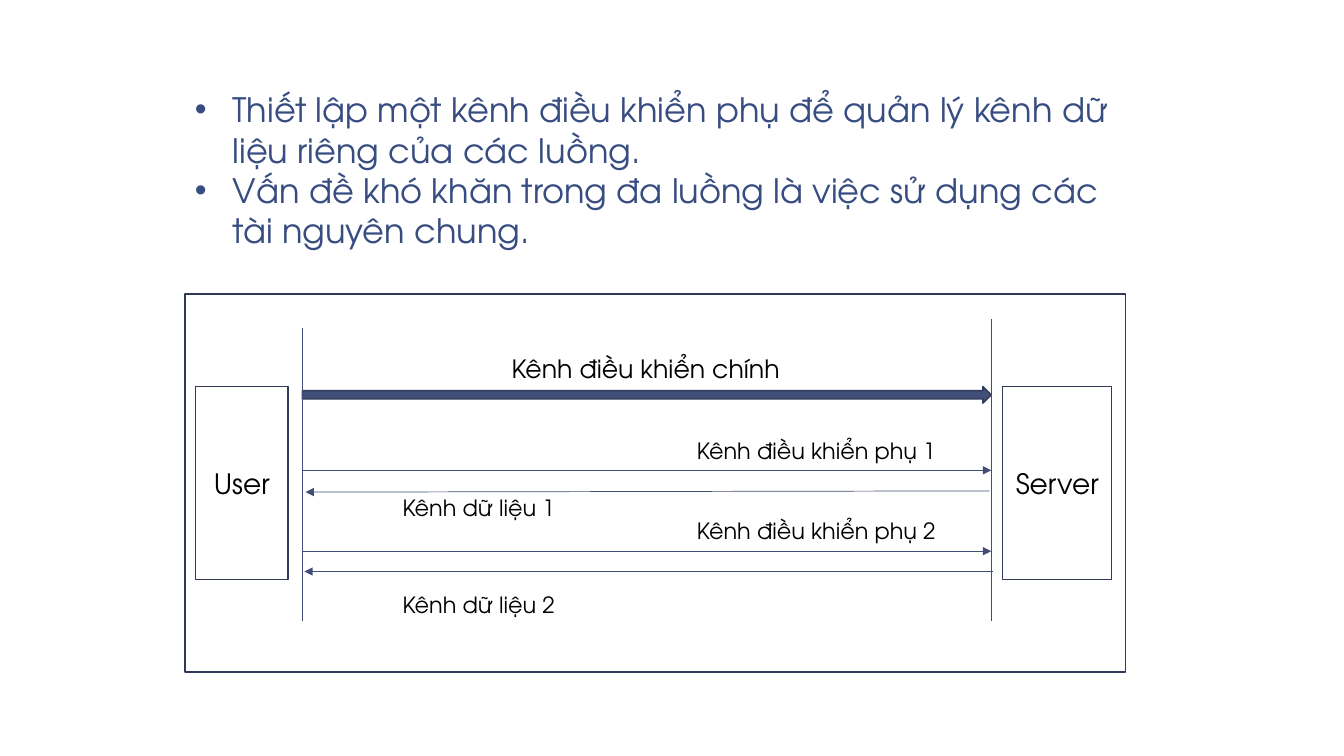
from lxml.etree import SubElement
from pptx import Presentation
from pptx.dml.color import RGBColor
from pptx.enum.shapes import MSO_CONNECTOR, MSO_SHAPE
from pptx.enum.text import MSO_ANCHOR, MSO_AUTO_SIZE, PP_ALIGN
from pptx.oxml.ns import qn
from pptx.util import Cm, Pt

FONT = "TeX Gyre Adventor"
NAVY, SLATE, BLUE = "303A58", "414E77", "374C81"
BLACK, WHITE = "000000", "FFFFFF"

# Content (lengths in cm)
POINTS = [
    "Thiết lập một kênh điều khiển phụ để quản lý kênh dữ liệu riêng của các luồng.",
    "Vấn đề khó khăn trong đa luồng là việc sử dụng các tài nguyên chung.",
]
LEFT, WIDTH = 4.66, 23.7
USER_RAIL, SERVER_RAIL, RAIL_END = 7.62, 24.98, 15.66
RAILS = [(USER_RAIL, 8.26), (SERVER_RAIL, 8.05)]  # x, top
BOX_TOP, BOX_HEIGHT = 9.74, 4.87
ENDPOINTS = [("User", 4.93, 2.33), ("Server", 25.27, 2.75)]  # name, left, width
MAIN_LABEL = ("Kênh điều khiển chính", 10.24, 8.79, 12.07)
CHANNEL_WIDTH = 8.89
CONTROL_LEFT = 16.13
# control label top, control arrow y, data arrow (from, to), data label top
CHANNELS = [
    (10.9, 11.85, (24.94, 12.37), (7.7, 12.4), 12.32),
    (12.9, 13.89, (25.02, 14.4), (7.67, 14.4), 14.76),
]


def color(value):
    return RGBColor.from_string(value)


def write(frame, lines, size=16, ink=BLACK, align=PP_ALIGN.CENTER, anchor=MSO_ANCHOR.TOP):
    frame.word_wrap = True
    frame.auto_size = MSO_AUTO_SIZE.NONE
    frame.vertical_anchor = anchor
    for index, line in enumerate(lines):
        para = frame.paragraphs[0] if index == 0 else frame.add_paragraph()
        para.alignment = align
        para.space_before = Pt(0)
        span = para.add_run()
        span.text = line
        span.font.name = FONT
        span.font.size = Pt(size)
        span.font.color.rgb = color(ink)


def add_label(text, left, top, width, size=16):
    box = page.shapes.add_textbox(Cm(left), Cm(top), Cm(width), Cm(1))
    write(box.text_frame, [text], size=size)


def add_block(preset, left, top, width, height, fill=None):
    block = page.shapes.add_shape(preset, Cm(left), Cm(top), Cm(width), Cm(height))
    block.shadow.inherit = False
    if fill:
        block.fill.solid()
        block.fill.fore_color.rgb = color(fill)
    else:
        block.fill.background()
    block.line.color.rgb = color(NAVY)
    block.line.width = Pt(1)
    return block


def add_line(start, end, arrow=False):
    line = page.shapes.add_connector(
        MSO_CONNECTOR.STRAIGHT, *[Cm(value) for value in (*start, *end)])
    line.line.color.rgb = color(SLATE)
    line.line.width = Pt(0.5)
    if arrow:
        SubElement(line.line._get_or_add_ln(), qn("a:tailEnd"), type="triangle")
    SubElement(line._element.spPr, qn("a:effectLst"))


deck = Presentation()
deck.slide_width, deck.slide_height = Cm(33.87), Cm(19.05)
page = deck.slides.add_slide(deck.slide_layouts[1])
title, body = page.placeholders
title._element.getparent().remove(title._element)

# Bullet list
body.left, body.top, body.width, body.height = Cm(LEFT), Cm(2.12), Cm(WIDTH), Cm(4.37)
write(body.text_frame, POINTS, size=24, ink=BLUE, align=PP_ALIGN.LEFT)
for para in body.text_frame.paragraphs:
    settings = para._p.get_or_add_pPr()
    settings.set("marL", str(Cm(0.95)))
    settings.set("indent", str(-Cm(0.95)))
    SubElement(settings, qn("a:buFont"), typeface="Arial")
    SubElement(settings, qn("a:buChar"), char="•")

# Frame, rails and main channel
add_block(MSO_SHAPE.RECTANGLE, LEFT, 7.41, WIDTH, 9.53)
add_block(MSO_SHAPE.RIGHT_ARROW, USER_RAIL, BOX_TOP, SERVER_RAIL - USER_RAIL, 0.42, SLATE)
for x, top in RAILS:
    add_line((x, top), (x, RAIL_END))
add_label(*MAIN_LABEL, size=18)

# User and server
for name, left, width in ENDPOINTS:
    block = add_block(MSO_SHAPE.RECTANGLE, left, BOX_TOP, width, BOX_HEIGHT, WHITE)
    write(block.text_frame, [name], size=20, anchor=MSO_ANCHOR.MIDDLE)

# Secondary control and data channels
for number, (control_top, control_y, start, end, data_top) in enumerate(CHANNELS, 1):
    add_line((USER_RAIL, control_y), (SERVER_RAIL, control_y), arrow=True)
    add_line(start, end, arrow=True)
    add_label(f"Kênh điều khiển phụ {number}", CONTROL_LEFT, control_top, CHANNEL_WIDTH)
    add_label(f"Kênh dữ liệu {number}", USER_RAIL, data_top, CHANNEL_WIDTH)

deck.save("out.pptx")
